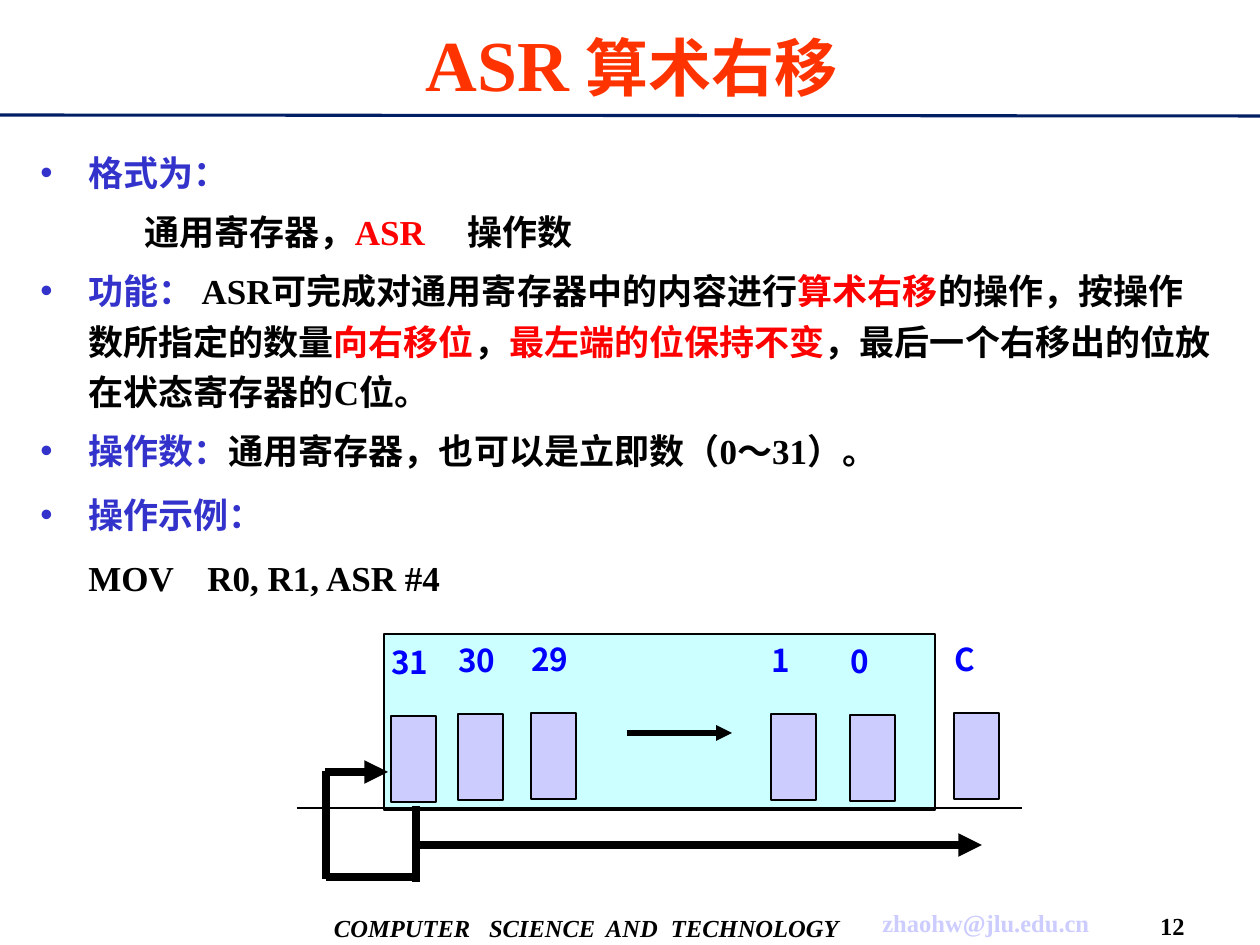
import pptx
import pptx.util
import pptx.dml.color
import pptx.enum.shapes
import pptx.enum.text
import pptx.oxml.ns
from lxml import etree

RGBColor = pptx.dml.color.RGBColor
BLACK = RGBColor(0x00, 0x00, 0x00)
RED = RGBColor(0xFF, 0x00, 0x00)
ORANGE = RGBColor(0xFF, 0x33, 0x00)
INDIGO = RGBColor(0x33, 0x33, 0xCC)
BLUE = RGBColor(0x00, 0x00, 0xFF)
NAVY = RGBColor(0x00, 0x1E, 0x64)
LAVENDER = RGBColor(0xCC, 0xCC, 0xFF)
CYAN = RGBColor(0xCC, 0xFF, 0xFF)
LATIN_FONT = "Times New Roman"
CHINESE_FONT = "Noto Sans CJK SC"
PX = 914400 / 126
qn = pptx.oxml.ns.qn
Align = pptx.enum.text.PP_ALIGN
Anchor = pptx.enum.text.MSO_ANCHOR


def write_runs(paragraph, runs, font_name=LATIN_FONT, tabs=()):
    """Set tab stops, then fill a paragraph with bold (text, size, colour) runs."""
    if tabs:
        tab_list = etree.SubElement(paragraph._p.get_or_add_pPr(), qn("a:tabLst"))
        for position in tabs:
            etree.SubElement(tab_list, qn("a:tab"), pos=str(round(position * PX)), algn="l")
    for text, size, color in runs:
        run = paragraph.add_run()
        run.text = text
        run.font.name = font_name
        run.font.size = pptx.util.Pt(size)
        run.font.bold = True
        run.font.color.rgb = color
        east_asian = etree.Element(qn("a:ea"), typeface=CHINESE_FONT)
        run.font._element.find(qn("a:latin")).addnext(east_asian)


def add_line(start_x, start_y, end_x, end_y, width, color=BLACK, arrow=False):
    line = slide.shapes.add_connector(
        pptx.enum.shapes.MSO_CONNECTOR.STRAIGHT,
        *[round(value * PX) for value in (start_x, start_y, end_x, end_y)])
    line.line.color.rgb = color
    line.line.width = pptx.util.Pt(width)
    if arrow:
        etree.SubElement(line.line._get_or_add_ln(), qn("a:tailEnd"), type="triangle")
    etree.SubElement(line._element.spPr, qn("a:effectLst"))


presentation = pptx.Presentation()
presentation.slide_width = round(1260 * PX)
presentation.slide_height = round(945 * PX)
slide = presentation.slides.add_slide(presentation.slide_layouts[5])

# Title and rule
title = slide.shapes.title
title.left, title.top, title.width, title.height = [
    round(value * PX) for value in (41, 10, 1181, 105)]
title.text_frame.auto_size = pptx.enum.text.MSO_AUTO_SIZE.NONE
title.text_frame.vertical_anchor = Anchor.MIDDLE
title.text_frame.paragraphs[0].alignment = Align.CENTER
write_runs(title.text_frame.paragraphs[0],
           [("ASR", 41, ORANGE), (" ", 37, RED), ("算术右移", 36, ORANGE)])
add_line(0, 115, 1260, 116, 1.75, NAVY)

# Footer
footers = [
    (334, 901, 520, 53, "COMPUTER\tSCIENCE\tAND\tTECHNOLOGY", BLACK, True,
     Align.LEFT, (155, 272, 337)),
    (872, 900, 228, 45, "zhaohw@jlu.edu.cn", LAVENDER, False, Align.CENTER, ()),
    (1145, 906, 55, 39, "12", BLACK, False, Align.CENTER, ()),
]
for left, top, width, height, text, color, italic, alignment, tabs in footers:
    footer = slide.shapes.add_textbox(
        *[round(value * PX) for value in (left, top, width, height)])
    footer.text_frame.vertical_anchor = Anchor.MIDDLE
    footer.text_frame.word_wrap = True
    footer.text_frame.margin_left = footer.text_frame.margin_right = 0
    paragraph = footer.text_frame.paragraphs[0]
    paragraph.alignment = alignment
    write_runs(paragraph, [(text, 14, color)], tabs=tabs)
    paragraph.runs[0].font.italic = italic

# Explanation: (tab stops of an unbulleted line, space after, runs)
explanation = [
    ((), 0, [("格式为：", INDIGO)]),
    ((104, 427), 0, [("\t通用寄存器，", BLACK), ("ASR\t", RED), ("操作数", BLACK)]),
    ((), 0, [
        ("功能： ", INDIGO), ("ASR可完成对通用寄存器中的内容进行", BLACK),
        ("算术右移", RED), ("的操作，按操作数所指定的数量", BLACK),
        ("向右移位", RED), ("，", BLACK), ("最左端的位保持不变", RED),
        ("，最后一个右移出的位放在状态寄存器的C位。", BLACK)]),
    ((), 2.5, [("操作数：", INDIGO),
               ("通用寄存器，也可以是立即数（0～31）。", BLACK)]),
    ((), 2.5, [("操作示例：", INDIGO)]),
    ((48, 167), 2.5, [("\tMOV\tR0, R1, ASR #4", BLACK)]),
]
body = slide.shapes.add_textbox(
    *[round(value * PX) for value in (28, 137, 1200, 490)])
body.text_frame.word_wrap = True
for index, (tabs, space_after, runs) in enumerate(explanation):
    paragraph = body.text_frame.paragraphs[0] if index == 0 else body.text_frame.add_paragraph()
    if not tabs:
        properties = paragraph._p.get_or_add_pPr()
        properties.set("marL", str(round(48 * PX)))
        properties.set("indent", str(round(-48 * PX)))
        bullet_color = etree.SubElement(properties, qn("a:buClr"))
        etree.SubElement(bullet_color, qn("a:srgbClr"), val=str(INDIGO))
        etree.SubElement(properties, qn("a:buFont"), typeface="Arial")
        etree.SubElement(properties, qn("a:buChar"), char="•")
    write_runs(paragraph, [(text, 20, color) for text, color in runs], tabs=tabs)
    paragraph.line_spacing = 1.2
    paragraph.space_before = pptx.util.Pt(5 if index else 0)
    paragraph.space_after = pptx.util.Pt(space_after)

# Register outline and bit cells
register = (384, 634, 551, 176, CYAN)
bits = [("31", 391, 716), ("30", 458, 714), ("29", 531, 713),
        ("1", 771, 714), ("0", 850, 715), ("C", 954, 713)]
cells = [(left, top, 45, 86, LAVENDER) for _, left, top in bits]
for left, top, width, height, color in [register] + cells:
    box = slide.shapes.add_shape(
        pptx.enum.shapes.MSO_SHAPE.RECTANGLE,
        *[round(value * PX) for value in (left, top, width, height)])
    box.shadow.inherit = False
    box.fill.solid()
    box.fill.fore_color.rgb = color
    box.line.color.rgb = BLACK
    box.line.width = pptx.util.Pt(0.75)
for text, left, top in bits:
    label = slide.shapes.add_textbox(
        *[round(value * PX) for value in (left - 12, top - 79, 78, 112)])
    label.text_frame.word_wrap = True
    label.text_frame.paragraphs[0].alignment = Align.JUSTIFY
    write_runs(label.text_frame.paragraphs[0], [(text, 18, BLUE)], CHINESE_FONT)

# Baseline, shift arrows and sign-bit feedback loop
add_line(297, 808, 1022, 808, 0.75)
add_line(627, 733, 732, 733, 3, arrow=True)
add_line(418, 845, 982, 845, 4.5, arrow=True)
add_line(416, 806, 416, 882, 4.5)
add_line(415, 877, 326, 877, 4.5)
add_line(326, 879, 326, 771, 4.5)
add_line(325, 772, 388, 772, 4.5, arrow=True)

presentation.save("out.pptx")
